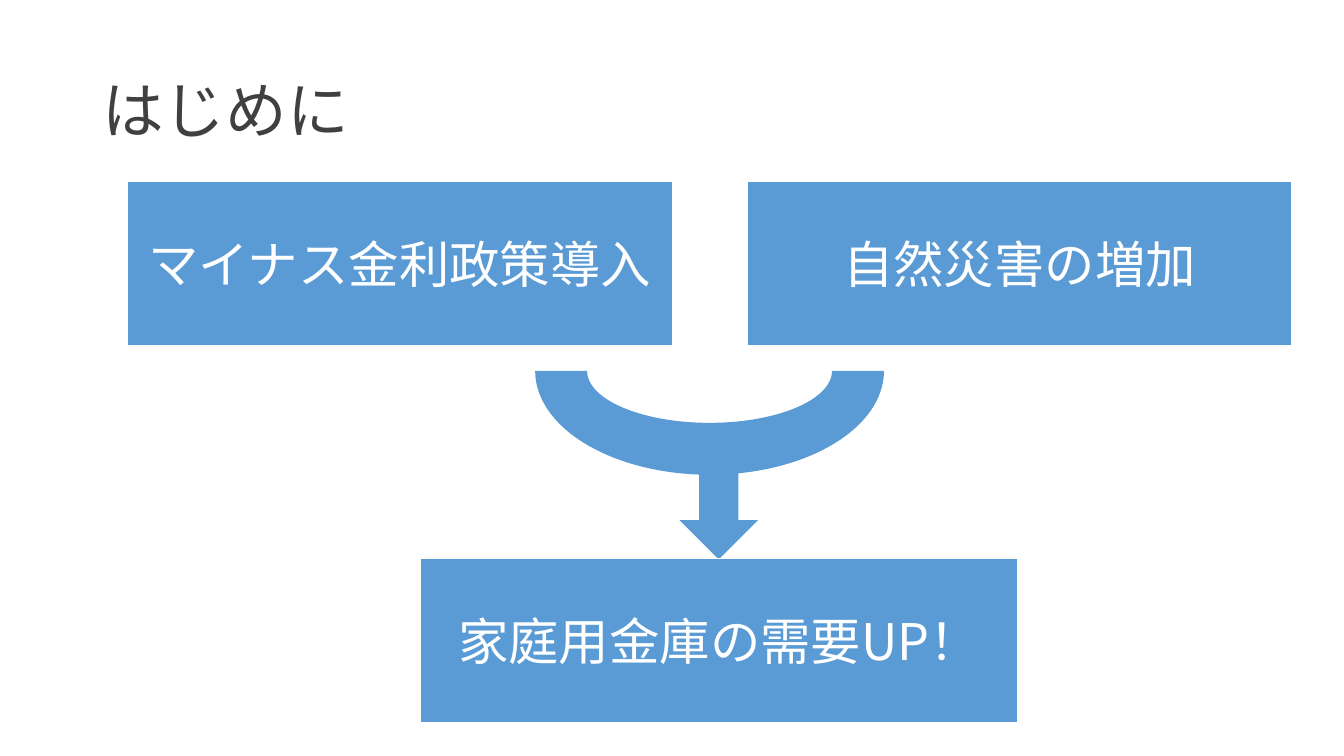
from lxml.etree import SubElement
from pptx import Presentation
from pptx.dml.color import RGBColor
from pptx.enum.shapes import MSO_SHAPE as Shape
from pptx.enum.text import MSO_ANCHOR as Anchor, PP_ALIGN as Align
from pptx.oxml.ns import qn
from pptx.util import Pt

BLUE = RGBColor(0x5B, 0x9B, 0xD5)
WHITE = RGBColor(0xFF, 0xFF, 0xFF)
DARK = RGBColor(0x40, 0x40, 0x40)
FONT = "Noto Sans CJK JP"
TITLE_FORMAT = {"size": Pt(44), "name": FONT}
BOX_FORMAT = {"size": Pt(36), "name": FONT}


def write_text(shape, text, font_format, color, **paragraph_format):
    frame = shape.text_frame
    frame.word_wrap = True
    frame.vertical_anchor = Anchor.MIDDLE
    paragraph = frame.paragraphs[0]
    for name, value in paragraph_format.items():
        setattr(paragraph, name, value)
    run = paragraph.add_run()
    run.text = text
    for name, value in font_format.items():
        setattr(run.font, name, value)
    run.font.color.rgb = color
    SubElement(run.font._element, qn("a:ea"), typeface=FONT)


def add_blue_shape(slide, kind, left, top, width, height):
    shape = slide.shapes.add_shape(kind, Pt(left), Pt(top), Pt(width), Pt(height))
    shape.shadow.inherit = False
    shape.fill.solid()
    shape.fill.fore_color.rgb = BLUE
    shape.line.fill.background()
    return shape


def add_title(slide, left, top, width, height, text):
    title = slide.shapes.add_textbox(Pt(left), Pt(top), Pt(width), Pt(height))
    write_text(title, text, TITLE_FORMAT, DARK, line_spacing=0.9)


def add_box(slide, left, top, width, height, text):
    box = add_blue_shape(slide, Shape.RECTANGLE, left, top, width, height)
    box.line.color.rgb = WHITE
    box.line.width = Pt(1)
    write_text(box, text, BOX_FORMAT, WHITE, alignment=Align.CENTER)


def add_causes(slide, left, top, width, height, causes, gap):
    box_width = (width - gap * (len(causes) - 1)) / len(causes)
    for index, cause in enumerate(causes):
        add_box(slide, left + index * (box_width + gap), top, box_width, height, cause)


def add_merging_arrow(slide, left, top, width, height):
    arc_height = 148.3
    arrow_width, arrow_height = 56.2, 92.2
    arc = add_blue_shape(slide, Shape.BLOCK_ARC, left, top, width, arc_height)
    arc.rotation = 180
    add_blue_shape(slide, Shape.DOWN_ARROW, left + 103, top + height - arrow_height,
                   arrow_width, arrow_height)


def build_introduction(presentation):
    slide = presentation.slides.add_slide(presentation.slide_layouts[6])
    add_title(slide, 66, 28.8, 828, 104.4, "はじめに")
    add_causes(slide, 90.7, 129.6, 832.3, 117.4,
               ["マイナス金利政策導入", "自然災害の増加"], gap=53.3)
    add_merging_arrow(slide, 382.3, 190.8, 249.1, 208.8)
    add_box(slide, 300.2, 398.9, 427, 117.4, "家庭用金庫の需要UP！")


presentation = Presentation()
presentation.slide_width = Pt(960)
presentation.slide_height = Pt(540)
build_introduction(presentation)
presentation.save("out.pptx")
